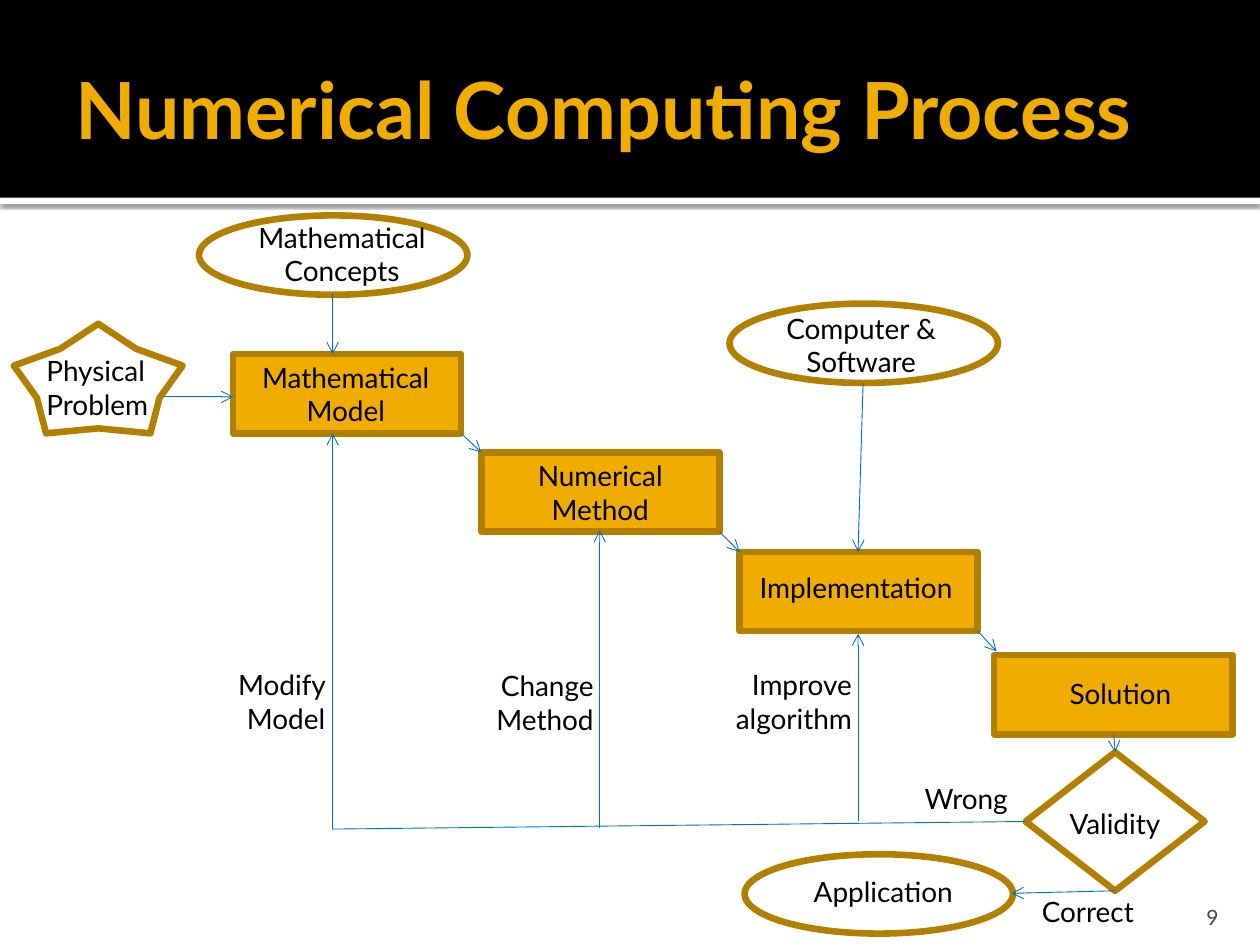
from lxml import etree
from pptx import Presentation
from pptx import util as u
from pptx.dml.color import RGBColor
from pptx.enum import shapes, text
from pptx.oxml import ns

FONT = "Lato"
GOLD, BROWN, BLUE, BLACK, WHITE = "F0AD00", "B28000", "0070C0", "000000", "FFFFFF"
LEFT, CENTER, RIGHT = text.PP_ALIGN.LEFT, text.PP_ALIGN.CENTER, text.PP_ALIGN.RIGHT
FORM = shapes.MSO_SHAPE
OVAL = (2.13, 0.63)
STEP = (1.89, 0.63)

NODES = [
    (FORM.OVAL, 1.58, 0.01, OVAL, "Mathematical Concepts", (0.27, -0.01, 1.73), CENTER),
    (FORM.STAR_5_POINT, 0.11, 0.87, (1.34, 0.87), "Physical Problem", (0.16, 0.19, 1.1), LEFT),
    (FORM.RECTANGLE, 1.85, 1.11, (1.81, 0.63), "Mathematical Model", (0.03, 0, 1.73), CENTER),
    (FORM.RECTANGLE, 3.82, 1.89, STEP, "Numerical Method", (0.08, 0, 1.73), CENTER),
    (FORM.RECTANGLE, 5.87, 2.68, STEP, "Implementation", (0.06, 0.1, 1.73), LEFT),
    (FORM.RECTANGLE, 7.89, 3.5, STEP, "Solution", (0.5, 0.12, 1.1), LEFT),
    (FORM.OVAL, 5.79, 0.71, OVAL, "Computer & Software", (0.18, 0.01, 1.73), CENTER),
    (FORM.DIAMOND, 8.14, 4.27, (1.42, 1.1), "Validity", (0.25, 0.38, 1.1), LEFT),
    (FORM.OVAL, 5.91, 5.08, OVAL, "Application", (0.45, 0.11, 1.34), LEFT),
]
ARROWS = [
    (1.3, 1.45, 1.85, 1.45), (2.64, 0.63, 2.64, 1.11),
    (3.66, 1.74, 3.82, 1.89), (5.71, 2.52, 5.87, 2.68), (7.76, 3.31, 7.91, 3.47),
    (6.85, 1.34, 6.81, 2.68), (8.84, 4.13, 8.85, 4.27), (8.85, 5.37, 8.03, 5.39),
    (2.64, 4.88, 2.64, 1.74), (4.76, 4.87, 4.76, 2.51), (6.81, 4.82, 6.81, 3.33),
]
FEEDBACK = (8.14, 4.82, 2.64, 4.88)
EDGE_LABELS = [
    ("Modify Model", 1.42, 3.55, 1.26, RIGHT),
    ("Change Method", 3.55, 3.56, 1.26, RIGHT),
    ("Improve algorithm", 5.6, 3.55, 1.26, RIGHT),
    ("Wrong", 7.24, 4.45, 1.1, LEFT),
    ("Correct", 8.17, 5.35, 1.1, LEFT),
]


def color(value):
    """Turn a hex string into a colour."""
    return RGBColor.from_string(value)


def inches(*lengths):
    """Turn numbers into lengths."""
    return [u.Inches(length) for length in lengths]


def assign(target, values):
    """Set attributes from a dict of format values."""
    for name, value in values.items():
        setattr(target, name, value)


def write(frame, words, size, fill, align=LEFT, bold=False, **layout):
    """Write one formatted paragraph in a text frame."""
    assign(frame, {"word_wrap": True, **layout})
    paragraph = frame.paragraphs[0]
    paragraph.alignment = align
    run = paragraph.add_run()
    run.text = words
    assign(run.font, {"name": FONT, "size": u.Pt(size), "bold": bold})
    run.font.color.rgb = color(fill)


def add_label(slide, words, left, top, width, align):
    """Add a label that is one line high for one word and two lines for more."""
    height = 0.64 if " " in words else 0.37
    label = slide.shapes.add_textbox(*inches(left, top, width, height))
    write(label.text_frame, words, 16, BLACK, align,
          auto_size=text.MSO_AUTO_SIZE.SHAPE_TO_FIT_TEXT)


def add_form(slide, form, box, fill=None, line=None):
    """Add a preset shape without shadow."""
    shape = slide.shapes.add_shape(form, *inches(*box))
    shape.shadow.inherit = False
    if fill:
        shape.fill.solid()
        shape.fill.fore_color.rgb = color(fill)
    else:
        shape.fill.background()
    if line:
        shape.line.color.rgb = color(line)
        shape.line.width = u.Pt(3.78)
    else:
        shape.line.fill.background()
    return shape


def add_line(slide, left, top, ends, arrow=True):
    """Add a thin line, with an arrowhead at its end if wanted."""
    x1, y1, x2, y2 = ends
    line = slide.shapes.add_connector(
        shapes.MSO_CONNECTOR.STRAIGHT, *inches(left + x1, top + y1, left + x2, top + y2))
    line.line.color.rgb = color(BLUE)
    line.line.width = u.Pt(0.5)
    if arrow:
        etree.SubElement(line.line._get_or_add_ln(), ns.qn("a:tailEnd"), type="arrow")
    etree.SubElement(line._element.spPr, ns.qn("a:effectLst"))


def add_header(slide, box, words):
    """Add the black band, its shadowed white rule and the title."""
    left, top, width, height = box
    rule = add_form(slide, FORM.RECTANGLE, (left, top + height, width, 0.05), WHITE)
    effects = rule._element.spPr.find(ns.qn("a:effectLst"))
    shadow = etree.SubElement(effects, ns.qn("a:outerShdw"), blurRad=str(u.Pt(2.5)),
                              dist=str(u.Pt(0.8)), dir="5400000", rotWithShape="0")
    shade = etree.SubElement(shadow, ns.qn("a:srgbClr"), val=BLACK)
    etree.SubElement(shade, ns.qn("a:alpha"), val="60000")
    add_form(slide, FORM.RECTANGLE, box, BLACK)
    title = slide.shapes.title
    places = inches(left + 0.5, top + 0.17, width - 1, height - 0.2)
    assign(title, dict(zip(("left", "top", "width", "height"), places)))
    write(title.text_frame, words, 45, GOLD, bold=True,
          vertical_anchor=text.MSO_ANCHOR.MIDDLE, auto_size=text.MSO_AUTO_SIZE.NONE,
          margin_right=u.Inches(0.05))
    slide.shapes._spTree.append(title._element)


def add_node(slide, left, top, node):
    """Add one outlined node with its label."""
    form, x, y, size, words, (shift_x, shift_y, width), align = node
    fill = GOLD if form == FORM.RECTANGLE else None
    shape = add_form(slide, form, (left + x, top + y, *size), fill, BROWN)
    if form == FORM.STAR_5_POINT:
        shape.adjustments[0] = 0.363
    add_label(slide, words, left + x + shift_x, top + y + shift_y, width, align)


def add_process(slide, box):
    """Add the flow chart of nodes, arrows and edge labels."""
    left, top = box[:2]
    for node in NODES:
        add_node(slide, left, top, node)
    for ends in ARROWS:
        add_line(slide, left, top, ends)
    add_line(slide, left, top, FEEDBACK, arrow=False)
    for words, x, y, width, align in EDGE_LABELS:
        add_label(slide, words, left + x, top + y, width, align)


def add_page_number(slide, box, number):
    """Add the page number."""
    frame = slide.shapes.add_textbox(*inches(*box)).text_frame
    write(frame, number, 12, "454545", RIGHT,
          vertical_anchor=text.MSO_ANCHOR.BOTTOM, margin_bottom=0)


def main():
    """Build and save the slide."""
    presentation = Presentation()
    assign(presentation, {"slide_width": u.Inches(10), "slide_height": u.Inches(7.5)})
    slide = presentation.slides.add_slide(presentation.slide_layouts[5])
    add_header(slide, (0, 0, 10, 1.57), "Numerical Computing Process")
    add_process(slide, (0, 1.7, 10, 5.8))
    add_page_number(slide, (8.97, 7.08, 0.8, 0.3), "9")
    presentation.save("out.pptx")


main()
